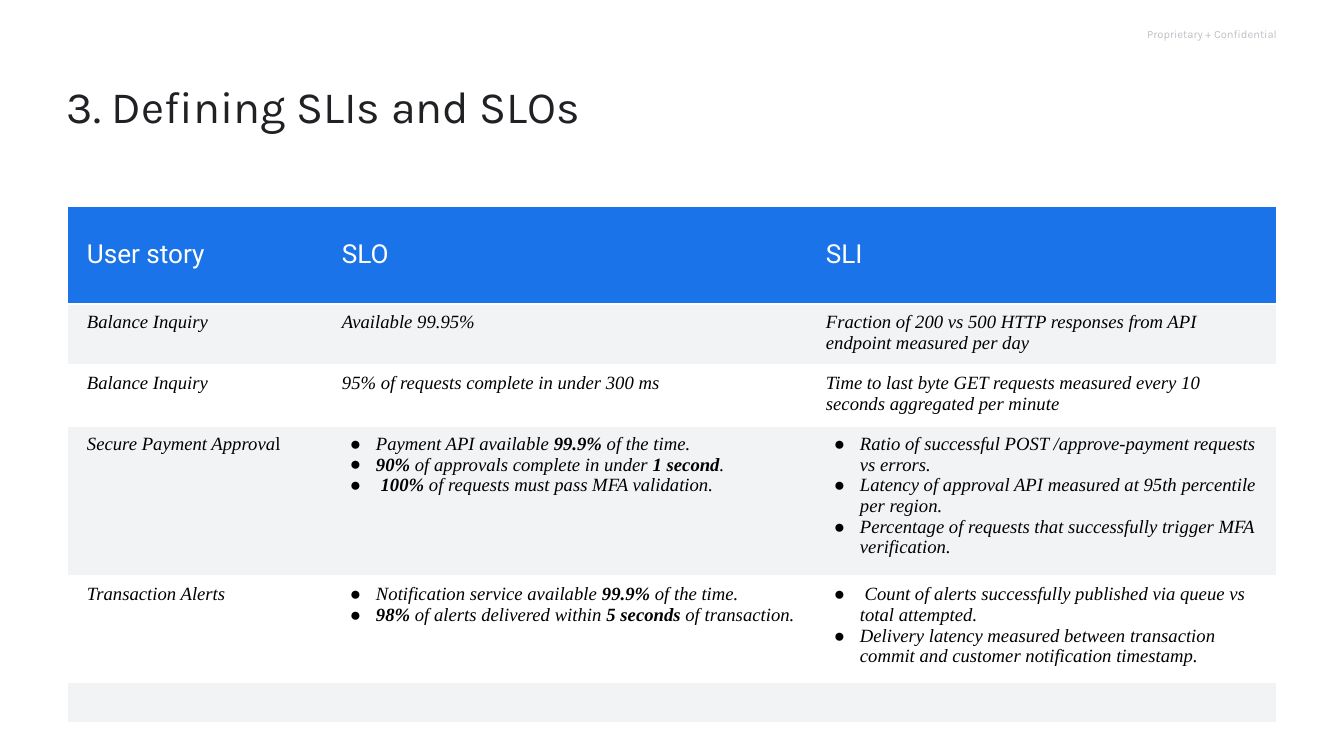
"""Build the slide that defines SLIs and SLOs for each user story."""
from pptx import Presentation
from pptx.dml.color import RGBColor
from pptx.enum.text import MSO_ANCHOR as Anchor, PP_ALIGN as Align
from pptx.oxml import parse_xml
from pptx.oxml.ns import nsdecls
from pptx.util import Emu, Pt

COLORS = {"ink": "202124", "muted": "BDC1C6", "header": "1A73E8",
          "band": "F1F3F4", "white": "FFFFFF", "black": "000000"}
BODY_FONT = "Times New Roman"
NOTICE = "Proprietary + Confidential"
TITLE = "3. Defining SLIs and SLOs"
HEADERS = ("User story", "SLO", "SLI")
STORIES = [
    ("Balance Inquiry", "Available 99.95%",
     "Fraction of 200 vs 500 HTTP responses from API endpoint measured per day"),
    ("Balance Inquiry", "95% of requests complete in under 300 ms",
     "Time to last byte GET requests measured every 10 seconds aggregated per minute"),
    ("Secure Payment Approva~l",
     ["Payment API available *99.9%* of the time.",
      "*90%* of approvals complete in under *1 second*.",
      " *100%* of requests must pass MFA validation."],
     ["Ratio of successful POST /approve-payment requests vs errors.",
      "Latency of approval API measured at 95th percentile per region.",
      "Percentage of requests that successfully trigger MFA verification."]),
    ("Transaction Alerts",
     ["Notification service available *99.9%* of the time.",
      "*98%* of alerts delivered within *5 seconds* of transaction."],
     [" Count of alerts successfully published via queue vs total attempted.",
      "Delivery latency measured between transaction commit and customer "
      "notification timestamp."]),
    ("", "", ""),
    ("", "", ""),
    ("", "", ""),
]
COLUMN_WIDTHS = (255, 484, 471)
ROW_HEIGHTS = (98, 28, 28, 33, 33, 42, 42, 42)
SCALE = 914400 / 67.2


def px(length):
    return Emu(round(length * SCALE))


def style(font, name, size, color):
    font.name, font.size = name, Pt(size)
    font.color.rgb = RGBColor.from_string(COLORS[color])


def add_text(page, text, place, size, color, align, anchor):
    box = page.shapes.add_textbox(*map(px, place))
    frame = box.text_frame
    frame.word_wrap = True
    frame.vertical_anchor = anchor
    frame.margin_left = frame.margin_right = 0
    frame.margin_top = frame.margin_bottom = 0
    para = frame.paragraphs[0]
    para.text, para.alignment = text, align
    style(para.font, "Karla", size, color)
    return para


def add_bullet(para):
    props = para._p.get_or_add_pPr()
    props.set("marL", str(px(34)))
    props.set("indent", str(-px(26)))
    for tag, inner in (("buClr", f'><a:srgbClr val="{COLORS["black"]}"/></a:buClr>'),
                       ("buSzPts", ' val="2000"/>'),
                       ("buFont", f' typeface="{BODY_FONT}"/>'),
                       ("buChar", ' char="●"/>')):
        props.append(parse_xml(f'<a:{tag} {nsdecls("a")}{inner}'))


def add_spans(para, text):
    """Write a line where *text* is bold and all after ~ is upright."""
    for index, part in enumerate(text.split("*")):
        slanted, _, upright = part.partition("~")
        for words, italic in ((slanted, True), (upright, False)):
            if words:
                span = para.add_run()
                span.text = words
                span.font.italic = italic
                span.font.bold = index % 2 == 1


def set_borders(cell, row, column):
    shown = {"L": column == 0, "R": column == len(HEADERS) - 1,
             "T": True, "B": row < len(STORIES)}
    for side, visible in shown.items():
        paint = (f'<a:solidFill><a:srgbClr val="{COLORS["white"]}"/></a:solidFill>'
                 if visible else "<a:noFill/>")
        cell._tc.get_or_add_tcPr().append(parse_xml(
            f'<a:ln{side} {nsdecls("a")} w="{Pt(3)}">{paint}</a:ln{side}>'))


def fill_cell(cell, content, row, column):
    set_borders(cell, row, column)
    if row % 2 or row == 0:
        cell.fill.solid()
        cell.fill.fore_color.rgb = RGBColor.from_string(
            COLORS["band" if row else "header"])
    else:
        cell.fill.background()
    cell.margin_left = px(20)
    cell.margin_right = px(13 if row in (1, 2) else 7)
    cell.margin_top = cell.margin_bottom = px(8)
    cell.vertical_anchor = Anchor.TOP if row else Anchor.MIDDLE
    bulleted = isinstance(content, list)
    frame = cell.text_frame
    for index, text in enumerate(content if bulleted else [content]):
        para = frame.add_paragraph() if index else frame.paragraphs[0]
        if bulleted:
            add_bullet(para)
        if row:
            add_spans(para, text)
            style(para.font, BODY_FONT, 20, "black")
        else:
            para.text = text
            style(para.font, "Roboto", 28, "white")


def add_story_table(page):
    table = page.shapes.add_table(
        len(ROW_HEIGHTS), len(COLUMN_WIDTHS), px(67), px(206),
        px(sum(COLUMN_WIDTHS)), px(sum(ROW_HEIGHTS))).table
    table.first_row = table.horz_banding = False
    for column, width in zip(table.columns, COLUMN_WIDTHS):
        column.width = px(width)
    for row, height in zip(table.rows, ROW_HEIGHTS):
        row.height = px(height)
    for row, contents in enumerate([HEADERS, *STORIES]):
        for column, content in enumerate(contents):
            fill_cell(table.cell(row, column), content, row, column)


def main():
    deck = Presentation()
    deck.slide_width, deck.slide_height = px(1344), px(756)
    page = deck.slides.add_slide(deck.slide_layouts[6])
    add_text(page, NOTICE, (994, 0, 283, 68), 12, "muted", Align.RIGHT, Anchor.MIDDLE)
    title = add_text(page, TITLE, (67, 68, 802, 147), 48, "ink", Align.LEFT, Anchor.TOP)
    title.line_spacing = 1.2
    add_story_table(page)
    deck.save("out.pptx")


if __name__ == "__main__":
    main()
